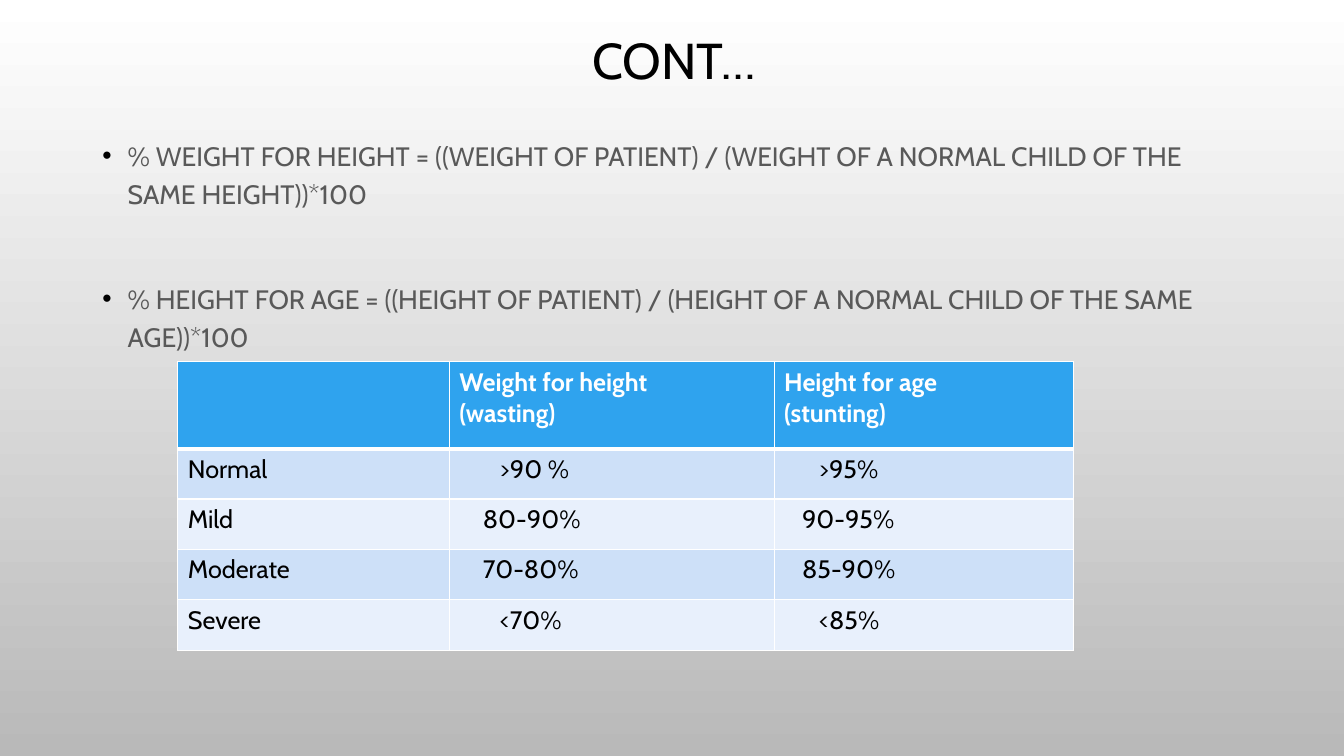
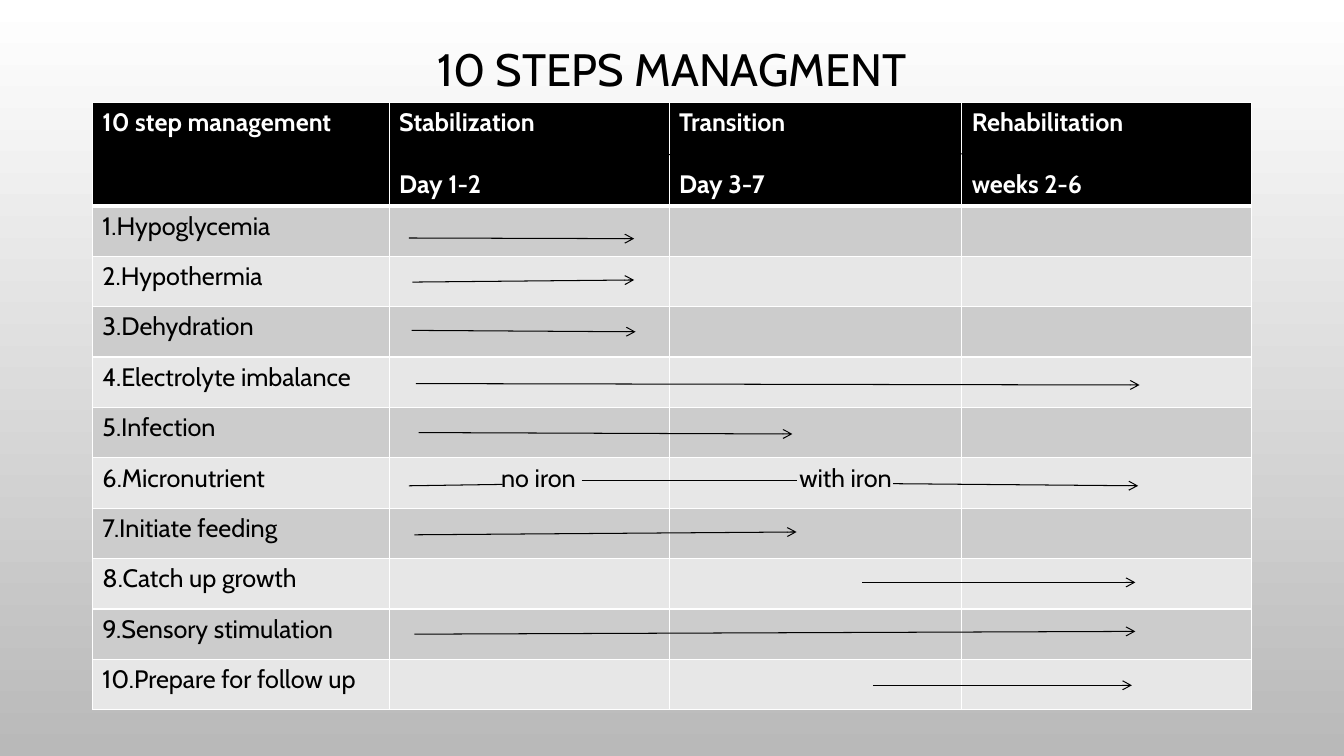
from lxml import etree
from pptx import Presentation
from pptx.dml.color import RGBColor
from pptx.enum import shapes, text
from pptx.oxml import ns
from pptx.util import Pt

FONT = "Cabin"
COLOURS = {
    "white": "FFFFFF", "black": "000000", "body": "595959",
    "background_end": "B9B9B9",
    "blue": "2FA3EE", "blue_dark_band": "CDE0F8", "blue_light_band": "E8F0FC",
    "grey_dark_band": "CCCCCC", "grey_light_band": "E7E7E7",
}
BLUE_TABLE = ("blue", "blue_dark_band", "blue_light_band")
BLACK_TABLE = ("black", "grey_dark_band", "grey_light_band")
CELL_INSET = 7.2
ROW_HEIGHT = 36


def rgb(name):
    return RGBColor.from_string(COLOURS[name])


def add_child(parent, tag, **attributes):
    return etree.SubElement(parent, ns.qn(tag), attributes)


def add_bullet(paragraph, indent=18):
    properties = paragraph._p.get_or_add_pPr()
    properties.set("marL", str(Pt(indent)))
    properties.set("indent", str(-Pt(indent)))
    add_child(add_child(properties, "a:buClr"), "a:srgbClr", val=COLOURS["black"])
    add_child(properties, "a:buFont", typeface="Arial")
    add_child(properties, "a:buChar", char="•")


def write_text(frame, lines, size=18, colour="black", bold=False, align=None,
               line_spacing=None, gap=0, bullet=False):
    """Write one paragraph per line, with gap points between paragraphs."""
    for index, line in enumerate(lines):
        paragraph = frame.add_paragraph() if index else frame.paragraphs[0]
        paragraph.text = line
        if bullet:
            add_bullet(paragraph)
        paragraph.alignment = align
        paragraph.line_spacing = line_spacing
        paragraph.space_before = Pt(gap if index else 0)
        for run in paragraph.runs:
            run.font.name = FONT
            run.font.size = Pt(size)
            run.font.bold = bold
            run.font.color.rgb = rgb(colour)


def place(shape, box):
    shape.left, shape.top, shape.width, shape.height = map(Pt, box)
    shape.text_frame.auto_size = text.MSO_AUTO_SIZE.NONE


def fill_title(slide, box, title, size):
    shape = slide.shapes.title
    place(shape, box)
    shape.text_frame.vertical_anchor = text.MSO_ANCHOR.MIDDLE
    write_text(shape.text_frame, [title], size=size,
               align=text.PP_ALIGN.CENTER, line_spacing=0.9)


def fill_body(slide, box, lines):
    shape = slide.placeholders[1]
    place(shape, box)
    write_text(shape.text_frame, lines, size=19, colour="body",
               line_spacing=1.2, gap=47.5, bullet=True)


def set_borders(cell, header):
    properties = cell._tc.get_or_add_tcPr()
    for index, side in enumerate("LRTB"):
        width = 3 if header and side == "B" or not header and side == "T" and cell_below_header(cell) else 1
        line = etree.Element(ns.qn(f"a:ln{side}"), w=str(Pt(width)))
        add_child(add_child(line, "a:solidFill"), "a:srgbClr", val=COLOURS["white"])
        properties.insert(index, line)


def cell_below_header(cell):
    row = cell._tc.getparent()
    return row.getparent().index(row.getprevious()) == 2 if row.getprevious() is not None else False


def add_grid(slide, left, top, widths, header_height, rows, colours,
             header_gap=0, insets=None):
    """Add a banded table; insets maps (row, column) to a left cell margin."""
    insets = insets or {}
    heights = [header_height] + [ROW_HEIGHT] * (len(rows) - 1)
    table = slide.shapes.add_table(
        len(rows), len(widths), Pt(left), Pt(top),
        Pt(sum(widths)), Pt(sum(heights))).table
    for column, width in zip(table.columns, widths):
        column.width = Pt(width)
    header_fill, *bands = colours
    for r, (row, height) in enumerate(zip(rows, heights)):
        table.rows[r].height = Pt(height)
        header = r == 0
        for c, content in enumerate(row):
            cell = table.cell(r, c)
            cell.margin_left = Pt(insets.get((r, c), CELL_INSET))
            cell.fill.solid()
            cell.fill.fore_color.rgb = rgb(header_fill if header else bands[(r - 1) % 2])
            set_borders(cell, header)
            write_text(cell.text_frame, content.split("\n"), bold=header,
                       colour="white" if header else "black", gap=header_gap)


def add_line(slide, start, end, arrow):
    line = slide.shapes.add_connector(
        shapes.MSO_CONNECTOR.STRAIGHT, *map(Pt, (*start, *end)))
    line.line.color.rgb = rgb("black")
    line.line.width = Pt(0.75)
    if arrow:
        add_child(line.line._get_or_add_ln(), "a:tailEnd", type="arrow")
    add_child(line._element.spPr, "a:effectLst")


def add_timeline(slide, left, top, header_height, spans):
    """Draw spans of (row, x1, y1, x2, y2, arrow), y counted from the row's top."""
    for row, x1, y1, x2, y2, arrow in spans:
        row_top = top + (header_height + (row - 1) * ROW_HEIGHT if row else 0)
        add_line(slide, (left + x1, row_top + y1), (left + x2, row_top + y2), arrow)


def set_background(master):
    fill = master.background.fill
    fill.gradient()
    fill.gradient_angle = 270
    for stop, colour, position in zip(fill.gradient_stops, ("white", "background_end"), (0, 1)):
        stop.color.rgb = rgb(colour)
        stop.position = position


def build_formula_slide(presentation):
    slide = presentation.slides.add_slide(presentation.slide_layouts[1])
    fill_title(slide, (66, -30, 831, 150), "CONT…", 36)
    fill_body(slide, (66, 91.5, 824, 134.5), [
        "% WEIGHT FOR HEIGHT = ((WEIGHT OF PATIENT) / (WEIGHT OF A NORMAL CHILD OF THE SAME HEIGHT))*100",
        "% HEIGHT FOR AGE = ((HEIGHT OF PATIENT) / (HEIGHT OF A NORMAL CHILD OF THE SAME AGE))*100",
    ])
    rows = [
        ("", "Weight for height\n(wasting)", "Height for age\n(stunting)"),
        ("Normal", ">90 %", ">95%"),
        ("Mild", "80-90%", "90-95%"),
        ("Moderate", "70-80%", "85-90%"),
        ("Severe", "<70%", "<85%"),
    ]
    insets = {}
    for row in range(1, len(rows)):
        single_limit = row in (1, len(rows) - 1)
        insets[row, 1] = 36 if single_limit else 24
        insets[row, 2] = 32 if single_limit else 20
    add_grid(slide, 127, 258.5, (194, 232, 214), 62, rows, BLUE_TABLE, insets=insets)


def build_steps_slide(presentation):
    slide = presentation.slides.add_slide(presentation.slide_layouts[5])
    left, top, header_height = 66, 73, 74
    fill_title(slide, (left, 29, 828, 44.5), "10 STEPS MANAGMENT", 32.4)
    steps = ["Hypoglycemia", "Hypothermia", "Dehydration", "Electrolyte imbalance",
             "Infection", "Micronutrient", "Initiate feeding", "Catch up growth",
             "Sensory stimulation", "Prepare for follow up"]
    notes = {"Micronutrient": ("no iron", "with iron", "")}
    rows = [("10 step management", "Stabilization\nDay 1-2",
             "Transition\nDay 3-7", "Rehabilitation\nweeks 2-6")]
    rows += [(f"{number}.{step}", *notes.get(step, ("", "", "")))
             for number, step in enumerate(steps, 1)]
    add_grid(slide, left, top, (212, 200, 209, 207), header_height, rows, BLACK_TABLE,
             header_gap=22, insets={(6, 1): 80, (6, 2): 93})
    add_timeline(slide, left, top, header_height, [
        (0, 214, 38, 827, 36.5, False),
        (1, 226, 23, 387, 23.5, True),
        (2, 228.5, 18.5, 387, 17, True),
        (3, 228, 17, 388, 18, True),
        (4, 231, 19, 748, 20, True),
        (5, 233, 18, 500, 19, True),
        (6, 226, 20, 293, 19, False),
        (6, 349.5, 16.5, 503, 16.5, False),
        (6, 572, 18.5, 747, 20, True),
        (7, 230, 19, 503, 17, True),
        (8, 550, 17, 745, 17, True),
        (9, 230, 18, 745, 16, True),
        (10, 557.5, 18.5, 742.5, 18.5, True),
    ])


def main():
    presentation = Presentation()
    presentation.slide_width, presentation.slide_height = Pt(960), Pt(540)
    set_background(presentation.slide_master)
    build_formula_slide(presentation)
    build_steps_slide(presentation)
    presentation.save("out.pptx")


if __name__ == "__main__":
    main()
